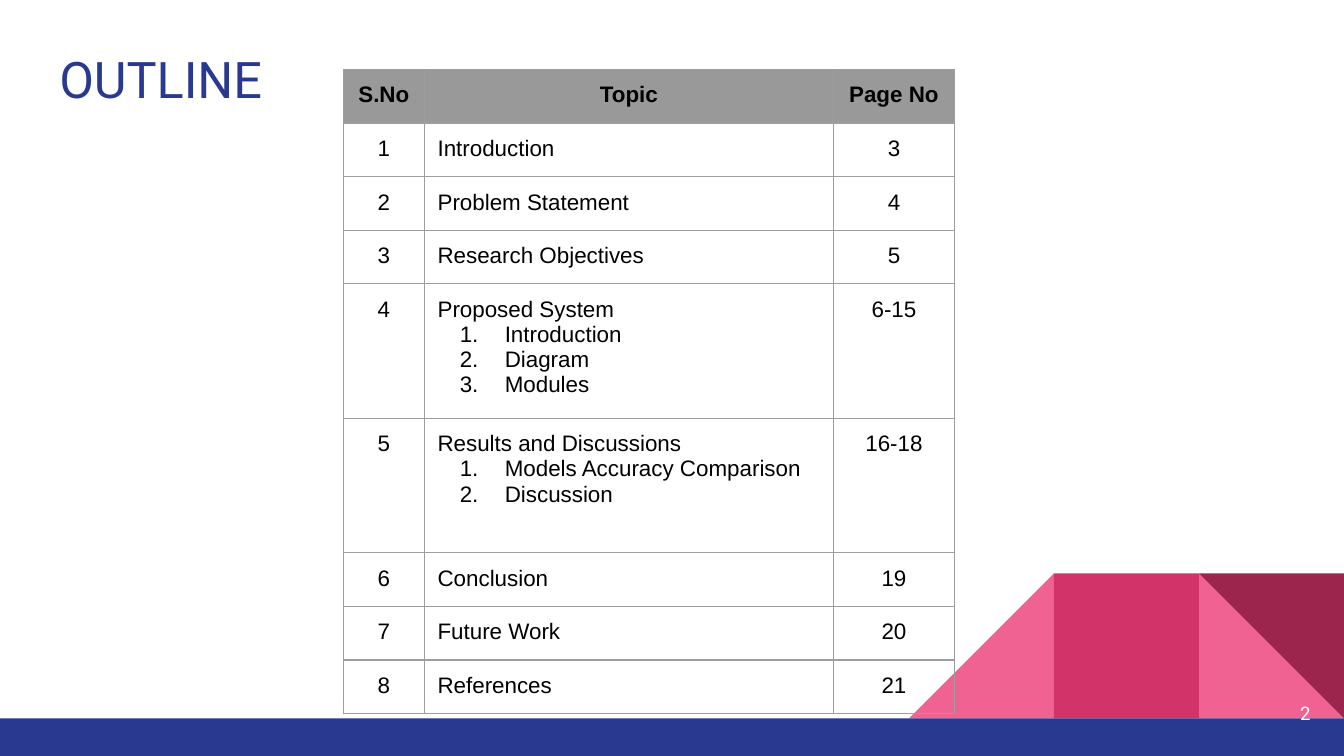
from lxml.etree import SubElement
from pptx import Presentation
from pptx.dml.color import RGBColor
from pptx.enum.shapes import MSO_SHAPE as Preset
from pptx.enum.text import MSO_ANCHOR as Anchor, MSO_AUTO_SIZE as AutoSize, PP_ALIGN as Align
from pptx.oxml.ns import qn
from pptx.util import Cm, Pt

WHITE = RGBColor(0xFF, 0xFF, 0xFF)
BLACK = RGBColor(0, 0, 0)
BLUE = RGBColor(0x2A, 0x39, 0x90)
LIGHT_PINK = RGBColor(0xF0, 0x62, 0x92)
PINK = RGBColor(0xD2, 0x33, 0x69)
DARK_PINK = RGBColor(0x9C, 0x25, 0x4D)
HEADER_GRAY = RGBColor(0x99, 0x99, 0x99)
BORDER_GRAY = RGBColor(0x9E, 0x9E, 0x9E)
MARGIN = Cm(0.25)


def format_text(text_frame, size, font_name, color, align, bold=False):
    text_frame.margin_left = text_frame.margin_right = MARGIN
    text_frame.margin_top = text_frame.margin_bottom = MARGIN
    text_frame.word_wrap = True
    text_frame.auto_size = AutoSize.NONE
    for paragraph in text_frame.paragraphs:
        paragraph.alignment = align
        for run in paragraph.runs:
            run.font.size = Pt(size)
            run.font.name = font_name
            run.font.bold = bold
            run.font.color.rgb = color


def add_borders(cell):
    properties = cell._tc.get_or_add_tcPr()
    for position, side in enumerate(("a:lnL", "a:lnR", "a:lnT", "a:lnB")):
        line = properties.makeelement(qn(side), {"w": str(Pt(0.75))})
        fill = SubElement(line, qn("a:solidFill"))
        SubElement(fill, qn("a:srgbClr"), val=str(BORDER_GRAY))
        properties.insert(position, line)


presentation = Presentation()
presentation.slide_width = Cm(25.4)
presentation.slide_height = Cm(14.29)
slide = presentation.slides.add_slide(presentation.slide_layouts[5])
slide.background.fill.solid()
slide.background.fill.fore_color.rgb = WHITE

# Corner decoration: square tiles standing on the bottom bar
bar_top = 13.58
tile = 2.74
right_tile = 25.4 - tile
tile_top = bar_top - tile
decorations = [
    (Preset.RIGHT_TRIANGLE, right_tile, tile_top, tile, tile, 0, LIGHT_PINK),
    (Preset.RIGHT_TRIANGLE, right_tile - 2 * tile, tile_top, tile, tile, 270, LIGHT_PINK),
    (Preset.RECTANGLE, right_tile - tile, tile_top, tile, tile, 0, PINK),
    (Preset.RIGHT_TRIANGLE, right_tile, tile_top, tile, tile, 180, DARK_PINK),
    (Preset.RECTANGLE, 0, bar_top, 25.4, 14.29 - bar_top, 0, BLUE),
]
for preset, left, top, width, height, rotation, color in decorations:
    shape = slide.shapes.add_shape(preset, Cm(left), Cm(top), Cm(width), Cm(height))
    shape.rotation = rotation
    shape.shadow.inherit = False
    shape.fill.solid()
    shape.fill.fore_color.rgb = color
    shape.line.fill.background()

# Title
title = slide.shapes.title
title.left, title.top, title.width, title.height = Cm(0.87), Cm(0.66), Cm(23.67), Cm(1.68)
title.text_frame.text = "OUTLINE"
title.text_frame.vertical_anchor = Anchor.TOP
format_text(title.text_frame, 27, "Roboto", BLUE, Align.LEFT)

# Slide number
number_box = slide.shapes.add_textbox(Cm(23.5), Cm(12.93), Cm(1.52), Cm(1.09))
number_box.text_frame.text = "2"
number_box.text_frame.vertical_anchor = Anchor.MIDDLE
format_text(number_box.text_frame, 10, "Roboto", WHITE, Align.RIGHT)

# Outline table: lines after the first in a topic are numbered
rows = [
    ("S.No", "Topic", "Page No"),
    ("1", "Introduction", "3"),
    ("2", "Problem Statement", "4"),
    ("3", "Research Objectives", "5"),
    ("4", "Proposed System\nIntroduction\nDiagram\nModules", "6-15"),
    ("5", "Results and Discussions\nModels Accuracy Comparison\nDiscussion", "16-18"),
    ("6", "Conclusion", "19"),
    ("7", "Future Work", "20"),
    ("8", "References", "21"),
]
column_widths = [1.53, 7.73, 2.29]
row_heights = [2.54 if "\n" in row[1] else 1.015 for row in rows]
table = slide.shapes.add_table(
    len(rows), len(column_widths), Cm(6.49), Cm(1.31),
    Cm(sum(column_widths)), Cm(sum(row_heights)),
).table
for column, width in zip(table.columns, column_widths):
    column.width = Cm(width)

for row_index, row in enumerate(rows):
    table.rows[row_index].height = Cm(row_heights[row_index])
    is_header = row_index == 0
    for column_index, text in enumerate(row):
        cell = table.cell(row_index, column_index)
        cell.text_frame.text = text
        cell.margin_left = cell.margin_right = MARGIN
        cell.margin_top = cell.margin_bottom = MARGIN
        if is_header:
            cell.fill.solid()
            cell.fill.fore_color.rgb = HEADER_GRAY
        else:
            cell.fill.background()
        align = Align.LEFT if column_index == 1 and not is_header else Align.CENTER
        format_text(cell.text_frame, 12, "Arial", BLACK, align, bold=is_header)
        for paragraph in cell.text_frame.paragraphs[1:]:
            properties = paragraph._p.get_or_add_pPr()
            properties.set("marL", str(Cm(1.27)))
            properties.set("indent", str(-Cm(0.85)))
            bullet_color = SubElement(properties, qn("a:buClr"))
            SubElement(bullet_color, qn("a:srgbClr"), val=str(BLACK))
            SubElement(properties, qn("a:buAutoNum"), type="arabicPeriod")
        add_borders(cell)

presentation.save("out.pptx")
